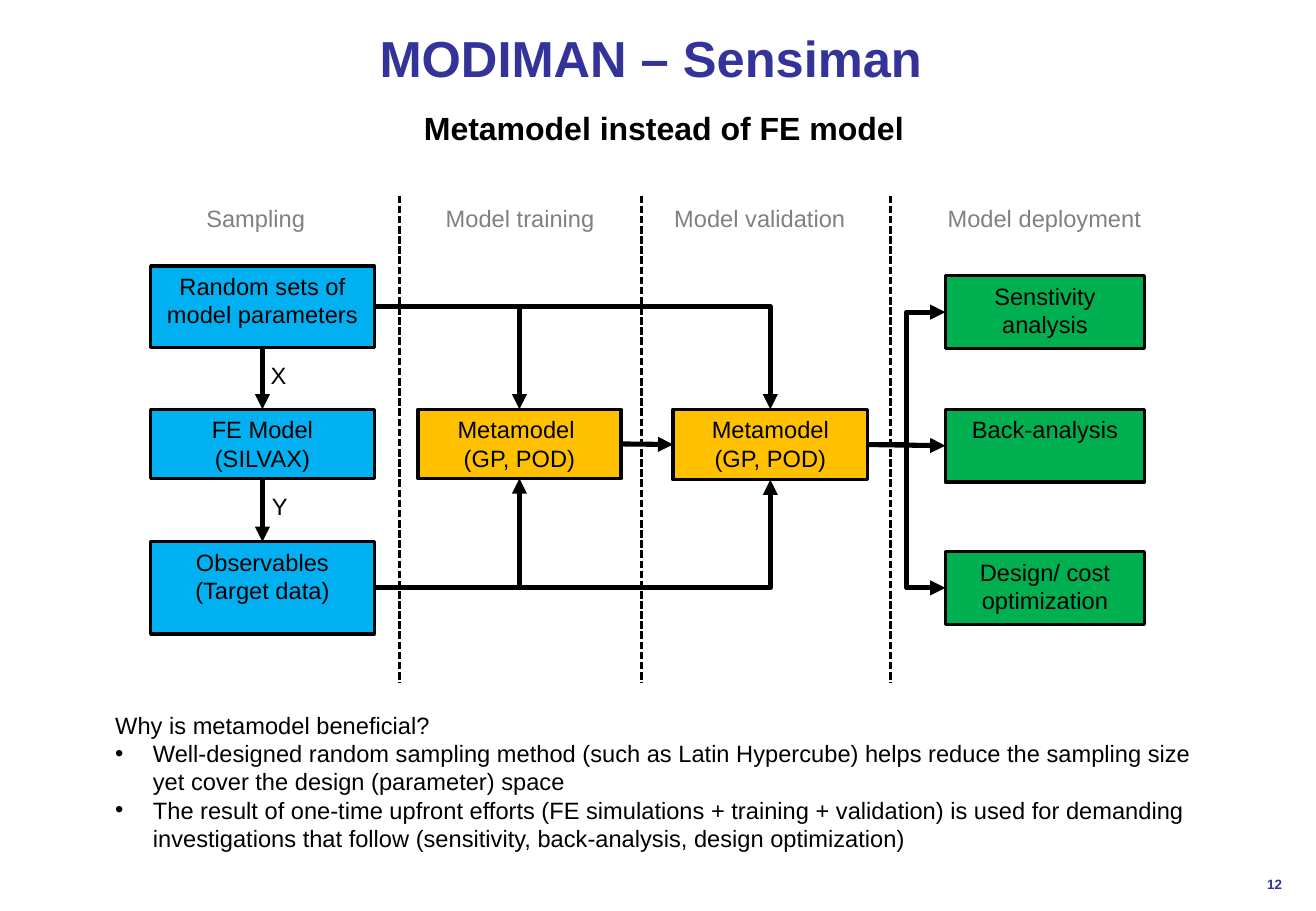
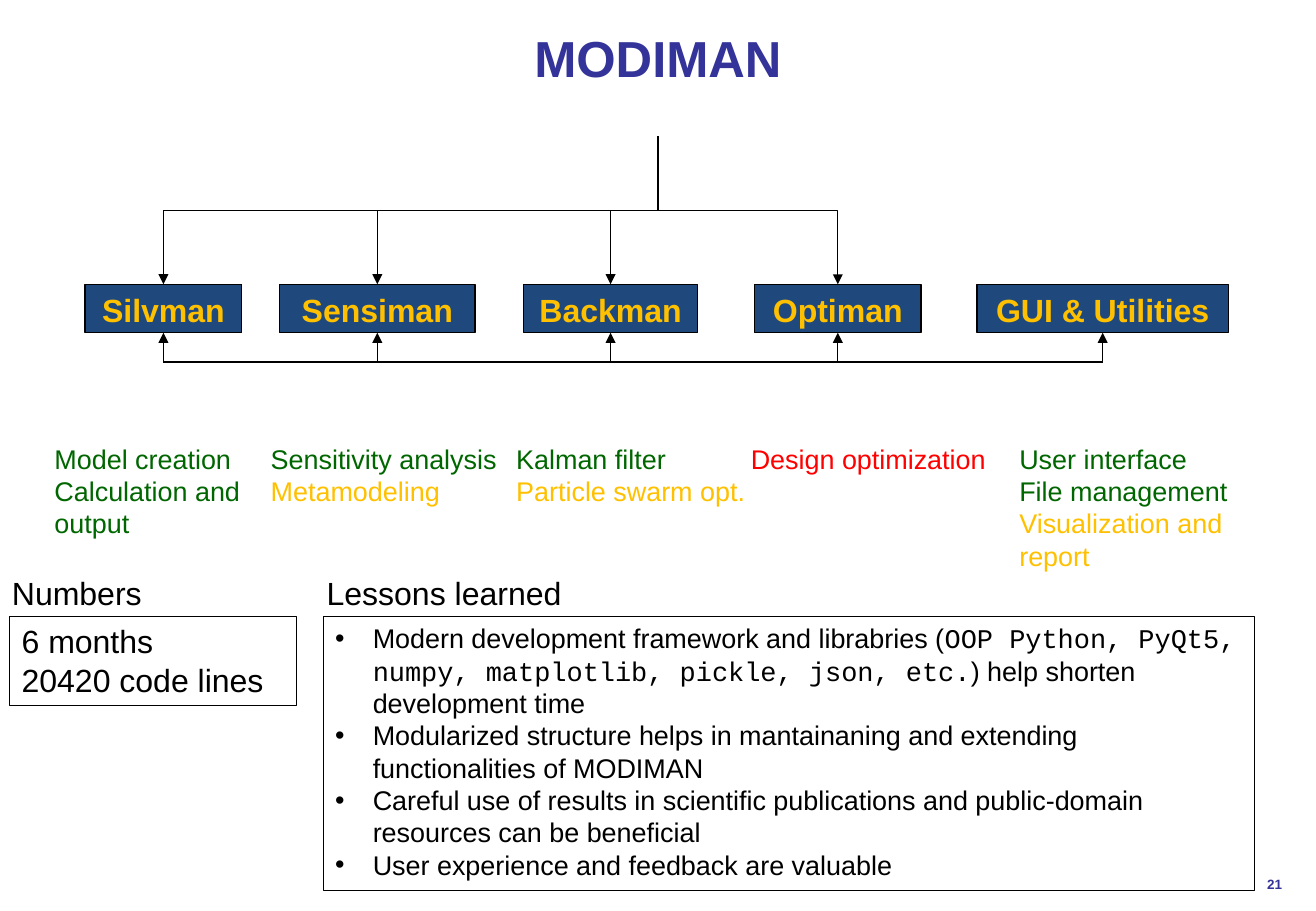
import dataclasses

import pptx
import pptx.dml.color
import pptx.enum.dml
import pptx.enum.shapes
import pptx.enum.text
import pptx.oxml.ns
import pptx.util

Inches = pptx.util.Inches
Pt = pptx.util.Pt
Align = pptx.enum.text.PP_ALIGN
Connector = pptx.enum.shapes.MSO_CONNECTOR
qn = pptx.oxml.ns.qn

TOP, LEFT, BOTTOM, RIGHT = range(4)


@dataclasses.dataclass(frozen=True)
class Theme:
    font: str = "Arial"
    code_font: str = "Courier New"
    title: str = "333399"
    ink: str = "000000"
    muted: str = "808080"
    sample: str = "00B0F0"
    amber: str = "FFC000"
    deploy: str = "00B050"
    module: str = "1F497D"
    done: str = "006600"
    planned: str = "FF0000"
    title_size: int = 30
    large: int = 19
    medium: int = 16
    body: int = 14
    small: int = 8


THEME = Theme()


def rgb(value):
    return pptx.dml.color.RGBColor.from_string(value)


def add_child(parent, tag, **attributes):
    parent.append(parent.makeelement(qn(tag), attributes))


def write(frame, paragraphs, *, size=THEME.body, color=THEME.ink, bold=False,
          align=Align.LEFT, bullets_from=None):
    """Fill a frame; a paragraph is a string or a list of (text, overrides) spans."""
    frame.word_wrap = True
    frame.vertical_anchor = pptx.enum.text.MSO_ANCHOR.TOP
    for index, content in enumerate(paragraphs):
        para = frame.paragraphs[0] if index == 0 else frame.add_paragraph()
        para.alignment = align
        if bullets_from is not None and index >= bullets_from:
            properties = para._p.get_or_add_pPr()
            properties.set("marL", str(Inches(0.31)))
            properties.set("indent", str(-Inches(0.31)))
            add_child(properties, "a:buFont", typeface=THEME.font)
            add_child(properties, "a:buChar", char="•")
        spans = [(content, {})] if isinstance(content, str) else content
        for text, overrides in spans:
            span = para.add_run()
            span.text = text
            span.font.name = overrides.get("font", THEME.font)
            span.font.size = Pt(size)
            span.font.bold = bold
            span.font.color.rgb = rgb(overrides.get("color", color))


def turn_upright(line):
    """Make an elbow connector leave and arrive vertically, between the same ends."""
    middle_x = (line.begin_x + line.end_x) // 2
    middle_y = (line.begin_y + line.end_y) // 2
    half_x, half_y = line.end_x - middle_x, line.end_y - middle_y
    line.begin_x, line.begin_y = middle_x - half_y, middle_y + half_x
    line.end_x, line.end_y = middle_x + half_y, middle_y - half_x
    line._element.spPr.find(qn("a:xfrm")).set("rot", str(90 * 60000))


class Page:
    """One slide together with its title and page number."""

    def __init__(self, deck, title, number):
        self.shapes = deck.slides.add_slide(deck.slide_layouts[6]).shapes
        self.title = self.text(0.54, 0.17, 9.75, 0.95, [title], size=THEME.title_size,
                               color=THEME.title, bold=True, align=Align.CENTER)
        self.text(9.73, 7.16, 0.92, 0.22, [number], size=THEME.small,
                  color=THEME.title, bold=True, align=Align.RIGHT)

    def text(self, left, top, width, height, paragraphs, **style):
        box = self.shapes.add_textbox(*map(Inches, (left, top, width, height)))
        write(box.text_frame, paragraphs, **style)
        return box

    def box(self, left, top, width, height, paragraphs, *, fill=None,
            border=2, **style):
        box = self.shapes.add_shape(pptx.enum.shapes.MSO_SHAPE.RECTANGLE,
                                    *map(Inches, (left, top, width, height)))
        box.shadow.inherit = False
        if fill:
            box.fill.solid()
            box.fill.fore_color.rgb = rgb(fill)
        else:
            box.fill.background()
        box.line.color.rgb = rgb(THEME.ink)
        box.line.width = Pt(border)
        write(box.text_frame, paragraphs, **style)
        return box

    def line(self, start=(0, 0), end=(0, 0), *, weight, kind=Connector.STRAIGHT,
             arrow=False, dashed=False):
        line = self.shapes.add_connector(kind, *map(Inches, (*start, *end)))
        line.line.color.rgb = rgb(THEME.ink)
        line.line.width = Pt(weight)
        if dashed:
            line.line.dash_style = pptx.enum.dml.MSO_LINE.SQUARE_DOT
        properties = line._element.spPr
        if arrow:
            add_child(properties.find(qn("a:ln")), "a:tailEnd", type="triangle")
        add_child(properties, "a:effectLst")
        return line

    def join(self, source, source_side, target, target_side, *, weight=3,
             kind=Connector.STRAIGHT):
        """Draw an arrow glued to the given sides of two shapes."""
        line = self.line(weight=weight, kind=kind, arrow=True)
        line.begin_connect(source, source_side)
        line.end_connect(target, target_side)
        if kind == Connector.ELBOW:
            vertical_ends = {source_side, target_side} & {TOP, BOTTOM}
            if len(vertical_ends) == 1:
                geometry = line._element.spPr.find(qn("a:prstGeom"))
                geometry.set("prst", "bentConnector2")
            elif vertical_ends:
                turn_upright(line)


def build_metamodel(deck):
    page = Page(deck, "MODIMAN – Sensiman ", "12")
    page.text(3.39, 0.84, 4.4, 0.42, ["Metamodel instead of FE model"],
              size=THEME.large, bold=True)

    parameters, model, observables, training, validation, *uses = [
        page.box(left, top, width, height, paragraphs, fill=fill, align=Align.CENTER)
        for left, top, width, height, fill, paragraphs in (
            (1.24, 2.19, 1.84, 0.67, THEME.sample, ["Random sets of model parameters"]),
            (1.24, 3.37, 1.84, 0.57, THEME.sample, ["FE Model (SILVAX)"]),
            (1.24, 4.46, 1.84, 0.76, THEME.sample, ["Observables (Target data)"]),
            (3.44, 3.37, 1.67, 0.57, THEME.amber, ["Metamodel ", "(GP, POD)"]),
            (5.54, 3.37, 1.6, 0.58, THEME.amber, ["Metamodel", "(GP, POD)"]),
            (7.78, 2.27, 1.64, 0.6, THEME.deploy, ["Senstivity analysis"]),
            (7.78, 3.37, 1.64, 0.6, THEME.deploy, ["Back-analysis"]),
            (7.78, 4.54, 1.64, 0.6, THEME.deploy, ["Design/ cost optimization"]),
        )
    ]
    page.join(parameters, BOTTOM, model, TOP)
    page.join(model, BOTTOM, observables, TOP)
    page.join(training, RIGHT, validation, LEFT)
    for metamodel in (training, validation):
        page.join(parameters, RIGHT, metamodel, TOP, kind=Connector.ELBOW)
        page.join(observables, RIGHT, metamodel, BOTTOM, kind=Connector.ELBOW)
    for use, kind in zip(uses, (Connector.ELBOW, Connector.STRAIGHT, Connector.ELBOW)):
        page.join(validation, RIGHT, use, LEFT, kind=kind)

    page.text(2.13, 2.92, 0.4, 0.34, ["X"])
    page.text(2.14, 4, 0.4, 0.34, ["Y"])
    for left, stage in ((1.6, "Sampling"), (3.57, "Model training"),
                        (5.45, "Model validation"), (7.7, "Model deployment")):
        page.text(left, 1.63, 1.9, 0.34, [stage], color=THEME.muted)
    for x in (3.29, 5.28, 7.33):
        page.line((x, 1.61), (x, 5.62), weight=1.5, dashed=True)

    page.text(0.85, 5.8, 9.35, 1.28, [
        "Why is metamodel beneficial?",
        "Well-designed random sampling method (such as Latin Hypercube) helps reduce "
        "the sampling size yet cover the design (parameter) space",
        "The result of one-time upfront efforts (FE simulations + training + validation) "
        "is used for demanding investigations that follow (sensitivity, back-analysis, "
        "design optimization)",
    ], bullets_from=1)


def build_summary(deck):
    page = Page(deck, "MODIMAN", "21")
    partial = {"color": THEME.amber}
    modules = (
        ("Silvman", 0.7, 1.29, 0.35, 1.86,
         ["Model creation", "Calculation and output"]),
        ("Sensiman", 2.3, 1.61, 2.13, 2.14,
         ["Sensitivity analysis", [("Metamodeling", partial)]]),
        ("Backman", 4.31, 1.43, 4.15, 2.31,
         ["Kalman filter", [("Particle swarm opt.", partial)]]),
        ("Optiman", 6.21, 1.37, 6.08, 2.18,
         [[("Design optimization", {"color": THEME.planned})]]),
        ("GUI & Utilities", 8.04, 2.07, 8.29, 2.45,
         ["User interface",
          [("File management ", {}), ("Visualization and report", partial)]]),
    )
    box_top, box_height, bus_y, thin = 2.34, 0.4, 2.98, 0.75
    boxes = []
    for name, left, width, note_left, note_width, features in modules:
        boxes.append(page.box(left, box_top, width, box_height, [name],
                              fill=THEME.module, border=thin, size=THEME.large,
                              color=THEME.amber, bold=True, align=Align.CENTER))
        page.text(note_left, 3.59, note_width, 1.18, features,
                  size=THEME.medium, color=THEME.done)

    for box in boxes[:-1]:
        page.join(page.title, BOTTOM, box, TOP, weight=thin, kind=Connector.ELBOW)
    centers = [left + width / 2 for _, left, width, *_ in modules]
    page.line((centers[0], bus_y), (centers[-1], bus_y), weight=thin)
    for x in centers:
        page.line((x, bus_y), (x, box_top + box_height), weight=thin, arrow=True)

    for left, heading in ((0, "Numbers"), (2.59, "Lessons learned")):
        page.text(left, 4.67, 2.4, 0.42, [heading], size=THEME.large)
    page.box(0.08, 5.07, 2.36, 0.74, ["6 months", "20420 code lines"],
             border=0.25, size=THEME.large)
    page.box(2.66, 5.07, 7.66, 2.26, [
        [("Modern development framework and librabries (", {}),
         ("OOP Python, PyQt5, numpy, matplotlib, pickle, json, etc.",
          {"font": THEME.code_font}),
         (") help shorten development time", {})],
        "Modularized structure helps in mantainaning and extending functionalities "
        "of MODIMAN",
        "Careful use of results in scientific publications and public-domain "
        "resources can be beneficial",
        "User experience and feedback are valuable",
    ], border=0.25, size=THEME.medium, bullets_from=0)


def main():
    deck = pptx.Presentation()
    deck.slide_width, deck.slide_height = Inches(10.83), Inches(7.5)
    build_metamodel(deck)
    build_summary(deck)
    deck.save("out.pptx")


if __name__ == "__main__":
    main()
